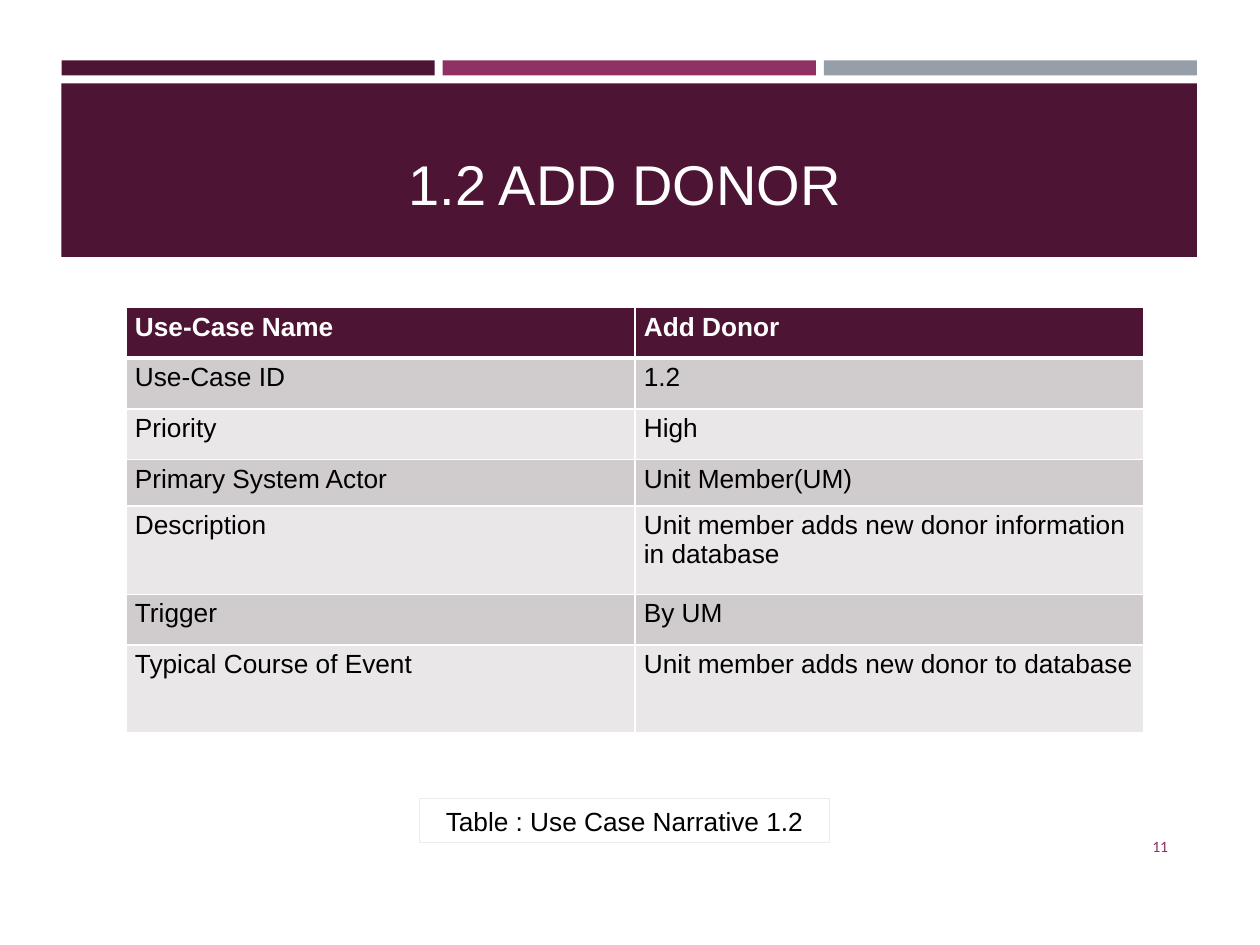
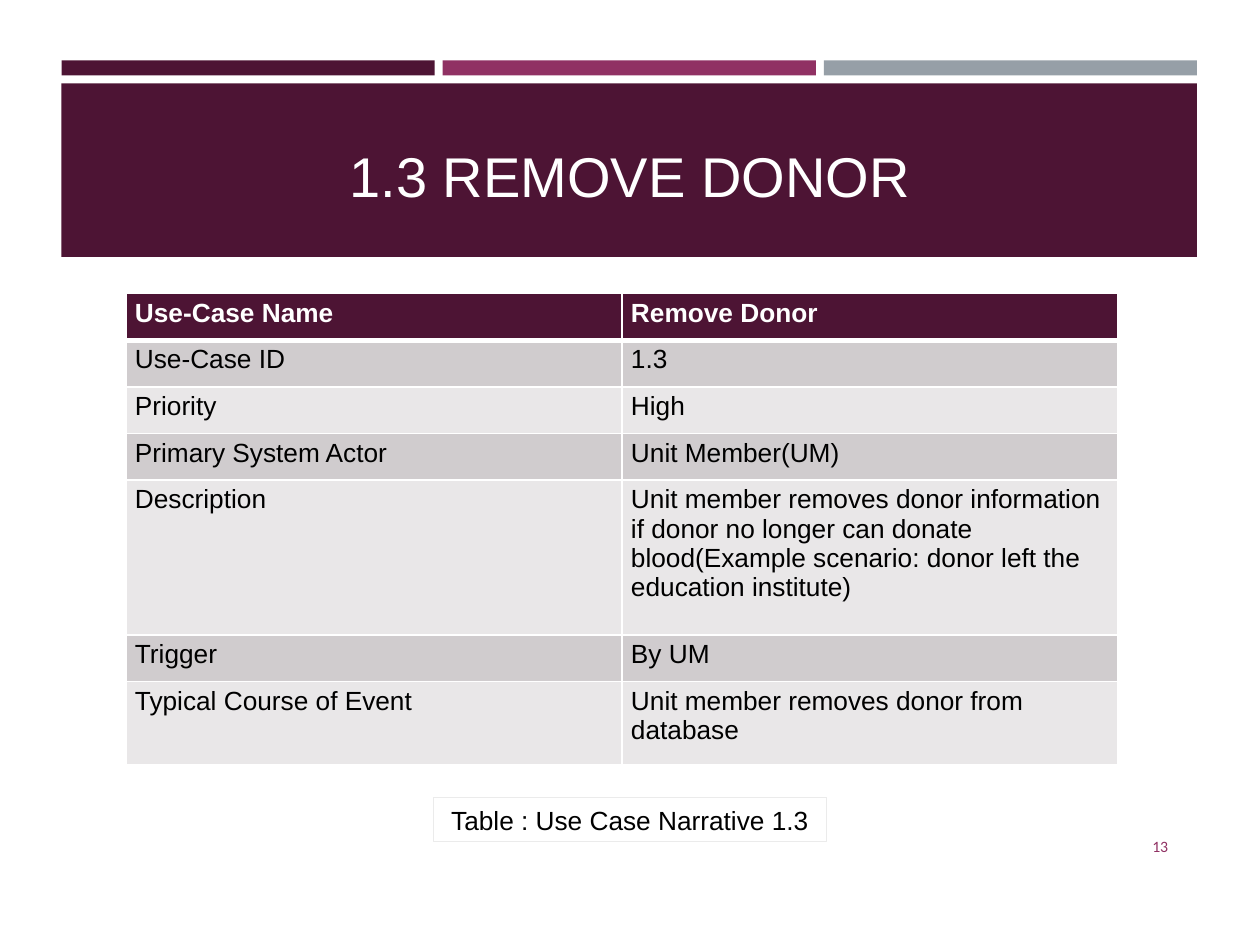
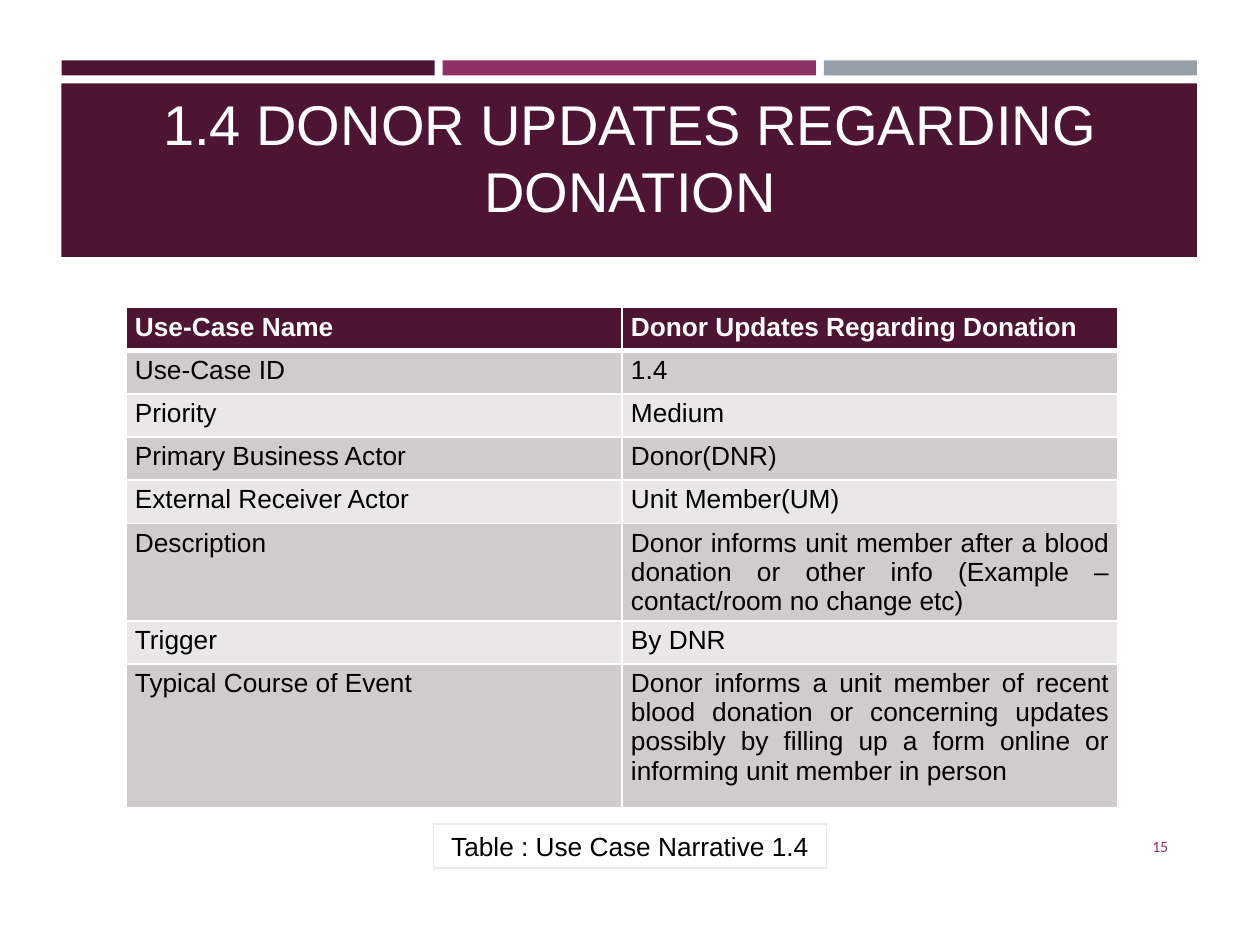
"""Build three use-case narrative slides with a shared title band and tables."""
from lxml.etree import SubElement
from pptx import Presentation
from pptx.dml.color import RGBColor
from pptx.enum.shapes import MSO_SHAPE
from pptx.enum.text import MSO_ANCHOR, MSO_AUTO_SIZE, PP_ALIGN
from pptx.oxml import parse_xml
from pptx.oxml.ns import nsdecls, qn
from pptx.util import Cm, Pt

PLUM = RGBColor(0x4D, 0x14, 0x34)
MAGENTA = RGBColor(0x90, 0x31, 0x63)
SLATE = RGBColor(0x96, 0x9F, 0xA7)
WHITE = RGBColor(0xFF, 0xFF, 0xFF)
BLACK = RGBColor(0, 0, 0)
DARK_ROW = RGBColor(0xD0, 0xCC, 0xCE)
LIGHT_ROW = RGBColor(0xE9, 0xE7, 0xE8)
CAPTION_LINE = RGBColor(0xEB, 0xEB, 0xEB)

TITLE_FORMAT = {"name": "Arial", "size": Pt(32), "color": WHITE}
HEADER_FORMAT = {"name": "Arial", "size": Pt(15), "bold": True, "color": WHITE}
BODY_FORMAT = {"name": "Arial", "size": Pt(15), "bold": False, "color": BLACK}
NUMBER_FORMAT = {"name": "Calibri", "size": Pt(9), "color": MAGENTA}

BAND_LEFT, BAND_SPAN, BAND_GAP = 1.24, 22.89, 0.16
TABLE_LEFT = 2.54
NUMBER_BOX = (21.67, 16.54, 2.13, 1.02)
CELL_MARGINS = {"margin_left": Cm(0.18), "margin_right": Cm(0.18),
                "margin_top": Cm(0.1), "margin_bottom": Cm(0.1)}

USE_CASES = [
    {
        "title": "1.2 ADD DONOR",
        "title_box": (2.44, 2.54, 20.32, 1.96),
        "number": "11",
        "caption": "Table : Use Case Narrative 1.2",
        "caption_box": (8.46, 16.1, 8.26, 0.89),
        "table_top": 6.2,
        "table_width": 20.52,
        "body_alignment": PP_ALIGN.LEFT,
        "rows": [
            (1.02, "Use-Case Name", "Add Donor"),
            (1.02, "Use-Case ID", "1.2"),
            (1.02, "Priority", "High"),
            (0.94, "Primary System Actor", "Unit Member(UM)"),
            (1.78, "Description", "Unit member adds new donor information in database"),
            (1.02, "Trigger", "By UM"),
            (1.78, "Typical Course of Event", "Unit member adds new donor to database"),
        ],
    },
    {
        "title": "1.3 REMOVE DONOR",
        "title_box": (2.54, 2.54, 20.32, 1.8),
        "number": "13",
        "caption": "Table : Use Case Narrative 1.3",
        "caption_box": (8.74, 16.08, 7.92, 0.89),
        "table_top": 5.92,
        "table_width": 20,
        "body_alignment": PP_ALIGN.LEFT,
        "rows": [
            (0.94, "Use-Case Name", "Remove Donor"),
            (0.94, "Use-Case ID", "1.3"),
            (0.94, "Priority", "High"),
            (0.94, "Primary System Actor", "Unit Member(UM)"),
            (3.12, "Description",
             "Unit member removes donor information if donor no longer can donate "
             "blood(Example scenario: donor left the education institute)"),
            (0.94, "Trigger", "By UM"),
            (1.68, "Typical Course of Event", "Unit member removes donor from database"),
        ],
    },
    {
        "title": "1.4 DONOR UPDATES REGARDING DONATION",
        "title_box": (2.54, 1.9, 20.32, 2.74),
        "number": "15",
        "caption": "Table : Use Case Narrative 1.4",
        "caption_box": (8.74, 16.61, 7.92, 0.89),
        "table_top": 6.2,
        "table_width": 20,
        "body_alignment": PP_ALIGN.JUSTIFY,
        "rows": [
            (0.87, "Use-Case Name", "Donor Updates Regarding Donation"),
            (0.87, "Use-Case ID", "1.4"),
            (0.87, "Priority", "Medium"),
            (0.87, "Primary Business Actor", "Donor(DNR)"),
            (0.87, "External Receiver Actor", "Unit Member(UM)"),
            (1.55, "Description",
             "Donor informs unit member after a blood donation or other info "
             "(Example – contact/room no change etc)"),
            (0.87, "Trigger", "By DNR"),
            (2.9, "Typical Course of Event",
             "Donor informs a unit member of recent blood donation or concerning updates "
             "possibly by filling up a form online or informing unit member in person"),
        ],
    },
]


def lengths(box):
    """Turn a box in centimetres into lengths."""
    return [Cm(value) for value in box]


def write(text_frame, text, formats, alignment, anchor=MSO_ANCHOR.MIDDLE):
    """Put one formatted paragraph in a text frame."""
    text_frame.text = text
    text_frame.word_wrap = True
    text_frame.vertical_anchor = anchor
    paragraph = text_frame.paragraphs[0]
    paragraph.alignment = alignment
    font = paragraph.runs[0].font
    for name, value in formats.items():
        if name == "color":
            font.color.rgb = value
        else:
            setattr(font, name, value)


def add_layout_bands(slide, layout):
    """Draw the coloured bands and place them on the shared layout."""
    width = (BAND_SPAN - 2 * BAND_GAP) / 3
    bands = [((BAND_LEFT + index * (width + BAND_GAP), 1.22, width, 0.3), color)
             for index, color in enumerate((PLUM, MAGENTA, SLATE))]
    bands.append(((BAND_LEFT, 1.68, BAND_SPAN, 3.5), PLUM))
    for index, (box, color) in enumerate(bands):
        band = slide.shapes.add_shape(MSO_SHAPE.RECTANGLE, *lengths(box))
        band.shadow.inherit = False
        band.fill.solid()
        band.fill.fore_color.rgb = color
        band.line.fill.background()
        band.name = f"Band {index + 1}"
        band._element.nvSpPr.cNvPr.set("id", str(100 + index))
        layout.shapes._spTree.insert(2 + index, band._element)


def add_borders(cell, top, bottom):
    """Give a cell white borders of the stated widths in points."""
    properties = cell._tc.get_or_add_tcPr()
    sides = (("L", 1), ("R", 1), ("T", top), ("B", bottom))
    for index, (side, width) in enumerate(sides):
        line = parse_xml(f'<a:ln{side} {nsdecls("a")} w="{Pt(width)}"/>')
        fill = SubElement(line, qn("a:solidFill"))
        SubElement(fill, qn("a:srgbClr"), val=str(WHITE))
        properties.insert(index, line)


def add_use_case_table(slide, use_case):
    """Add the two-column narrative table."""
    rows = use_case["rows"]
    box = (TABLE_LEFT, use_case["table_top"], use_case["table_width"],
           sum(row[0] for row in rows))
    table = slide.shapes.add_table(len(rows), 2, *lengths(box)).table
    for row_index, (height, *texts) in enumerate(rows):
        table.rows[row_index].height = Cm(height)
        is_header = row_index == 0
        color = PLUM if is_header else DARK_ROW if row_index % 2 else LIGHT_ROW
        for column_index, text in enumerate(texts):
            cell = table.cell(row_index, column_index)
            for name, value in CELL_MARGINS.items():
                setattr(cell, name, value)
            is_long = column_index == 1 and len(text) > 40
            alignment = use_case["body_alignment"] if is_long else PP_ALIGN.LEFT
            write(cell.text_frame, text, HEADER_FORMAT if is_header else BODY_FORMAT,
                  alignment, MSO_ANCHOR.TOP)
            cell.fill.solid()
            cell.fill.fore_color.rgb = color
            add_borders(cell, 3 if row_index == 1 else 1, 3 if is_header else 1)


def add_caption(slide, use_case):
    """Add the outlined caption below the table."""
    caption = slide.shapes.add_shape(MSO_SHAPE.RECTANGLE, *lengths(use_case["caption_box"]))
    caption.shadow.inherit = False
    caption.fill.background()
    caption.line.color.rgb = CAPTION_LINE
    caption.line.width = Pt(0.75)
    write(caption.text_frame, use_case["caption"], BODY_FORMAT, PP_ALIGN.CENTER)


def add_use_case(slide, use_case):
    """Fill one slide with its title, table, number and caption."""
    title = slide.shapes.title
    title.left, title.top, title.width, title.height = lengths(use_case["title_box"])
    write(title.text_frame, use_case["title"], TITLE_FORMAT, PP_ALIGN.CENTER, MSO_ANCHOR.BOTTOM)
    title.text_frame.auto_size = MSO_AUTO_SIZE.NONE
    add_use_case_table(slide, use_case)
    number = slide.shapes.add_textbox(*lengths(NUMBER_BOX))
    write(number.text_frame, use_case["number"], NUMBER_FORMAT, PP_ALIGN.RIGHT)
    add_caption(slide, use_case)


def main():
    """Create and save the presentation."""
    presentation = Presentation()
    presentation.slide_width, presentation.slide_height = Cm(25.4), Cm(19.05)
    layout = presentation.slide_layouts[5]
    slides = [presentation.slides.add_slide(layout) for _ in USE_CASES]
    add_layout_bands(slides[0], layout)
    for slide, use_case in zip(slides, USE_CASES):
        add_use_case(slide, use_case)
    presentation.save("out.pptx")


if __name__ == "__main__":
    main()
